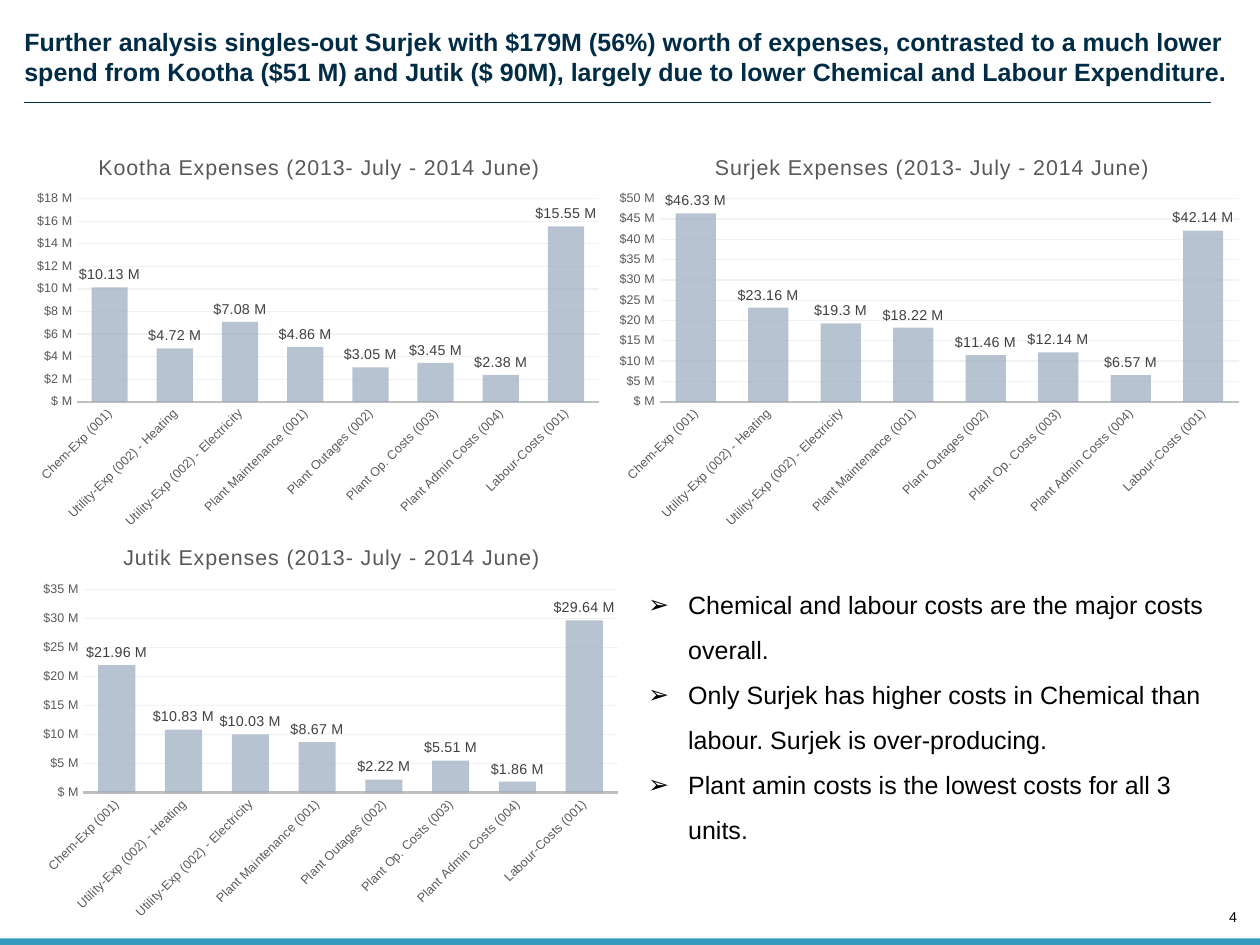
"""Build the plant expenses slide with three column charts and takeaways."""
from pptx import Presentation, util as u
from pptx.chart.data import CategoryChartData
from pptx.dml.color import RGBColor
from pptx.enum import chart as ch, shapes, text
from pptx.oxml import ns
from lxml import etree

NAVY, GREY, BLACK = "002C46", "595959", "000000"
MONEY = '"$"#.##,," M";'
CATEGORIES = [
    "Chem-Exp (001)", "Utility-Exp (002) - Heating",
    "Utility-Exp (002) - Electricity", "Plant Maintenance (001)",
    "Plant Outages (002)", "Plant Op. Costs (003)",
    "Plant Admin Costs (004)", "Labour-Costs (001)",
]
PLANTS = [
    ("Kootha", (0.48, 2.64, 11.58, 8.03), 0.12, 0.09, 18, 2,
     [10.13, 4.72, 7.08, 4.86, 3.05, 3.45, 2.38, 15.55]),
    ("Surjek", (12.01, 2.64, 12.73, 8.03), 0.16, 0.08, 50, 5,
     [46.33, 23.16, 19.3, 18.22, 11.46, 12.14, 6.57, 42.14]),
    ("Jutik", (0.58, 10.36, 11.86, 8.03), 0.15, 0.09, 35, 5,
     [21.96, 10.83, 10.03, 8.67, 2.22, 5.51, 1.86, 29.64]),
]
TAKEAWAYS = [
    "Chemical and labour costs are the major costs overall.",
    "Only Surjek has higher costs in Chemical than labour. Surjek is over-producing.",
    "Plant amin costs is the lowest costs for all 3 units.",
]


def rgb(value):
    return RGBColor.from_string(value)


def style(font, size, color, bold=False):
    font.name, font.size, font.bold = "Arial", u.Pt(size), bold
    font.color.rgb = rgb(color)


def move(sp, left, top, width, height):
    sp.left, sp.top, sp.width, sp.height = map(u.Cm, (left, top, width, height))


def no_margins(tf):
    tf.margin_left = tf.margin_right = tf.margin_top = tf.margin_bottom = 0


def add_xml(parent, tag, **attrs):
    return etree.SubElement(parent, ns.qn(tag), attrs)


def set_layout(parent, **fractions):
    layout = parent.find(ns.qn("c:layout"))
    if layout is None:
        layout = etree.Element(ns.qn("c:layout"))
        parent.insert(0, layout)
    manual = add_xml(layout, "c:manualLayout")
    if "w" in fractions:
        add_xml(manual, "c:layoutTarget", val="inner")
    for side in ("x", "y"):
        add_xml(manual, f"c:{side}Mode", val="edge")
    for side, value in fractions.items():
        add_xml(manual, f"c:{side}", val=str(value))


def add_title(s):
    sp = s.shapes.title
    move(sp, 0.48, 0.53, 24.28, 1.19)
    tf = sp.text_frame
    tf.text = ("Further analysis singles-out Surjek with $179M (56%) worth of expenses, "
               "contrasted to a much lower spend from Kootha ($51 M) and Jutik ($ 90M), "
               "largely due to lower Chemical and Labour Expenditure.")
    no_margins(tf)
    tf.auto_size, tf.word_wrap = text.MSO_AUTO_SIZE.NONE, True
    tf.vertical_anchor = text.MSO_ANCHOR.TOP
    p = tf.paragraphs[0]
    p.alignment = text.PP_ALIGN.LEFT
    style(p.runs[0].font, 14, NAVY, True)


def add_rule(s):
    line = s.shapes.add_connector(
        shapes.MSO_CONNECTOR.STRAIGHT, u.Cm(0.48), u.Cm(2.03), u.Cm(23.93), u.Cm(2.03))
    line.line.color.rgb, line.line.width = rgb(NAVY), u.Pt(0.75)
    add_xml(line.element.spPr, "a:effectLst")


def add_footer(s):
    bar = s.shapes.add_shape(
        shapes.MSO_SHAPE.RECTANGLE, 0, u.Cm(18.54), u.Cm(24.89), u.Cm(0.13))
    bar.shadow.inherit = False
    bar.fill.solid()
    bar.fill.fore_color.rgb = rgb("379BBD")
    bar.line.fill.background()
    tf = s.shapes.add_textbox(u.Cm(24.08), u.Cm(17.96), u.Cm(0.36), u.Cm(0.33)).text_frame
    tf.text = "4"
    no_margins(tf)
    tf.vertical_anchor = text.MSO_ANCHOR.BOTTOM
    tf.paragraphs[0].alignment = text.PP_ALIGN.RIGHT
    style(tf.paragraphs[0].runs[0].font, 8, BLACK)


def style_axes(chart, top, step):
    cat, val = chart.category_axis, chart.value_axis
    for axis in (cat, val):
        axis.major_tick_mark = axis.minor_tick_mark = ch.XL_TICK_MARK.NONE
        style(axis.tick_labels.font, 7, GREY)
    for rPr in chart.element.xpath(".//c:catAx/c:txPr//a:defRPr | .//c:valAx/c:txPr//a:defRPr"):
        rPr.set("spc", "20")
    cat.format.line.color.rgb, cat.format.line.width = rgb("BFBFBF"), u.Pt(1.25)
    chart.element.xpath(".//c:catAx/c:txPr/a:bodyPr")[0].set("rot", "-2700000")
    val.minimum_scale, val.maximum_scale = 0, top * 10**6
    val.major_unit = step * 10**6
    val.tick_labels.number_format = MONEY
    val.tick_labels.number_format_is_linked = False
    val.format.line.fill.background()
    grid = val.major_gridlines.format.line
    grid.color.rgb, grid.width = rgb("F2F2F2"), u.Pt(0.75)


def style_columns(chart):
    plot = chart.plots[0]
    plot.gap_width, plot.overlap, plot.vary_by_categories = 80, 25, False
    fill = plot.series[0].format.fill
    fill.solid()
    fill.fore_color.rgb = rgb("99AABE")
    add_xml(chart.element.xpath(".//c:ser/c:spPr//a:srgbClr")[0], "a:alpha", val="70000")
    plot.has_data_labels = True
    labels = plot.data_labels
    labels.show_value = True
    labels.position = ch.XL_LABEL_POSITION.OUTSIDE_END
    labels.number_format, labels.number_format_is_linked = MONEY, False
    style(labels.font, 8, "404040")


def add_expenses(s, plant, box, title_x, plot_x, top, step, millions):
    data = CategoryChartData()
    data.categories = CATEGORIES
    data.add_series("Series 1", [round(m * 10**6) for m in millions])
    chart = s.shapes.add_chart(
        ch.XL_CHART_TYPE.COLUMN_CLUSTERED, *map(u.Cm, box), data).chart
    style(chart.font, 10, BLACK)
    chart.has_legend = False
    title = chart.chart_title
    title.text_frame.text = f"{plant} Expenses (2013- July - 2014 June)"
    style(title.text_frame.paragraphs[0].runs[0].font, 12, GREY)
    title.element.xpath(".//a:r/a:rPr")[0].set("spc", "50")
    set_layout(title.element, x=title_x, y=0.04)
    set_layout(chart.element.xpath(".//c:plotArea")[0],
               x=plot_x, y=0.16, w=round(0.98 - plot_x, 2), h=0.5)
    style_axes(chart, top, step)
    style_columns(chart)


def add_takeaways(s):
    sp = s.placeholders[1]
    move(sp, 12.55, 11.23, 11.96, 5.54)
    tf = sp.text_frame
    tf.text = "\n".join(TAKEAWAYS)
    tf.auto_size, tf.word_wrap = text.MSO_AUTO_SIZE.NONE, True
    for p in tf.paragraphs:
        p.line_spacing, p.space_before = 1.5, u.Pt(0)
        style(p.runs[0].font, 14, BLACK)
        pPr = p._p.get_or_add_pPr()
        pPr.set("marL", str(u.Cm(0.79)))
        pPr.set("indent", str(-u.Cm(0.79)))
        add_xml(pPr, "a:buFont", typeface="Arial")
        add_xml(pPr, "a:buChar", char="➢")


def main():
    prs = Presentation()
    prs.slide_width, prs.slide_height = u.Cm(24.89), u.Cm(18.67)
    s = prs.slides.add_slide(prs.slide_layouts[1])
    add_footer(s)
    add_title(s)
    add_rule(s)
    for plant in PLANTS:
        add_expenses(s, *plant)
    add_takeaways(s)
    prs.save("out.pptx")


if __name__ == "__main__":
    main()
